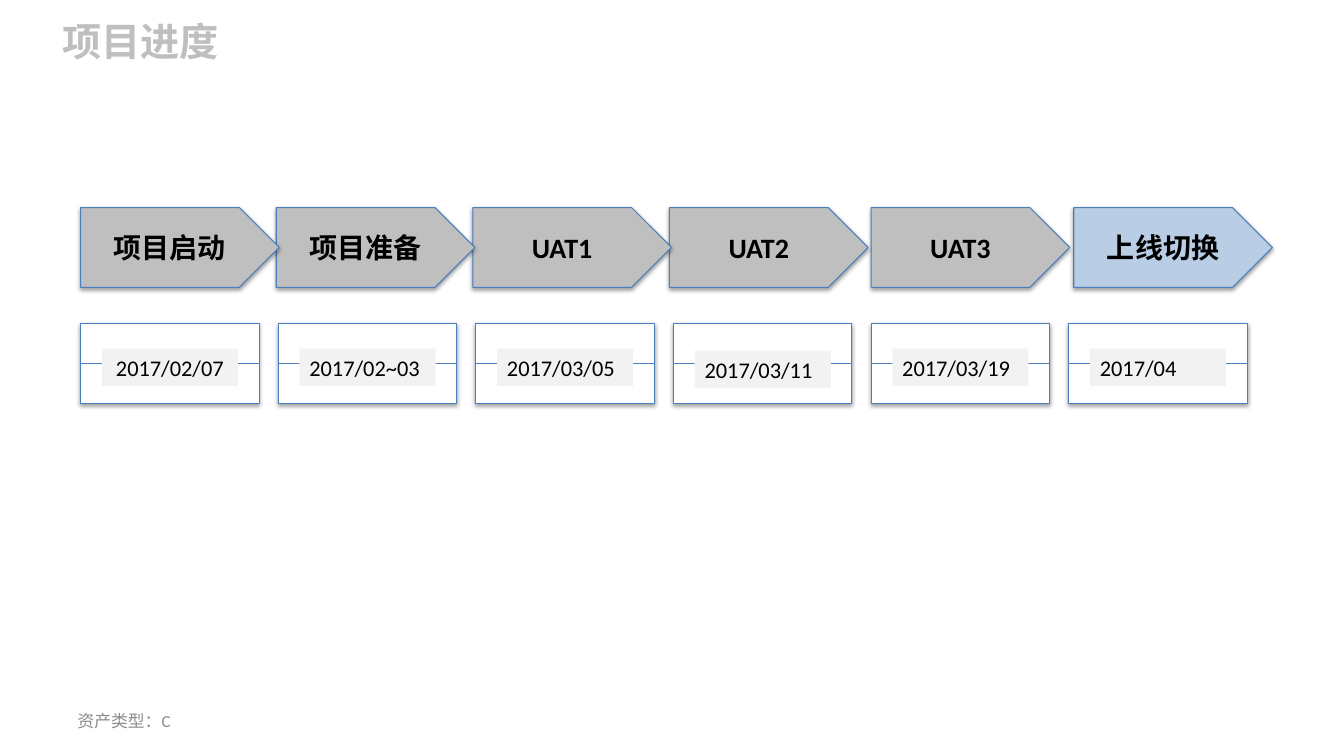
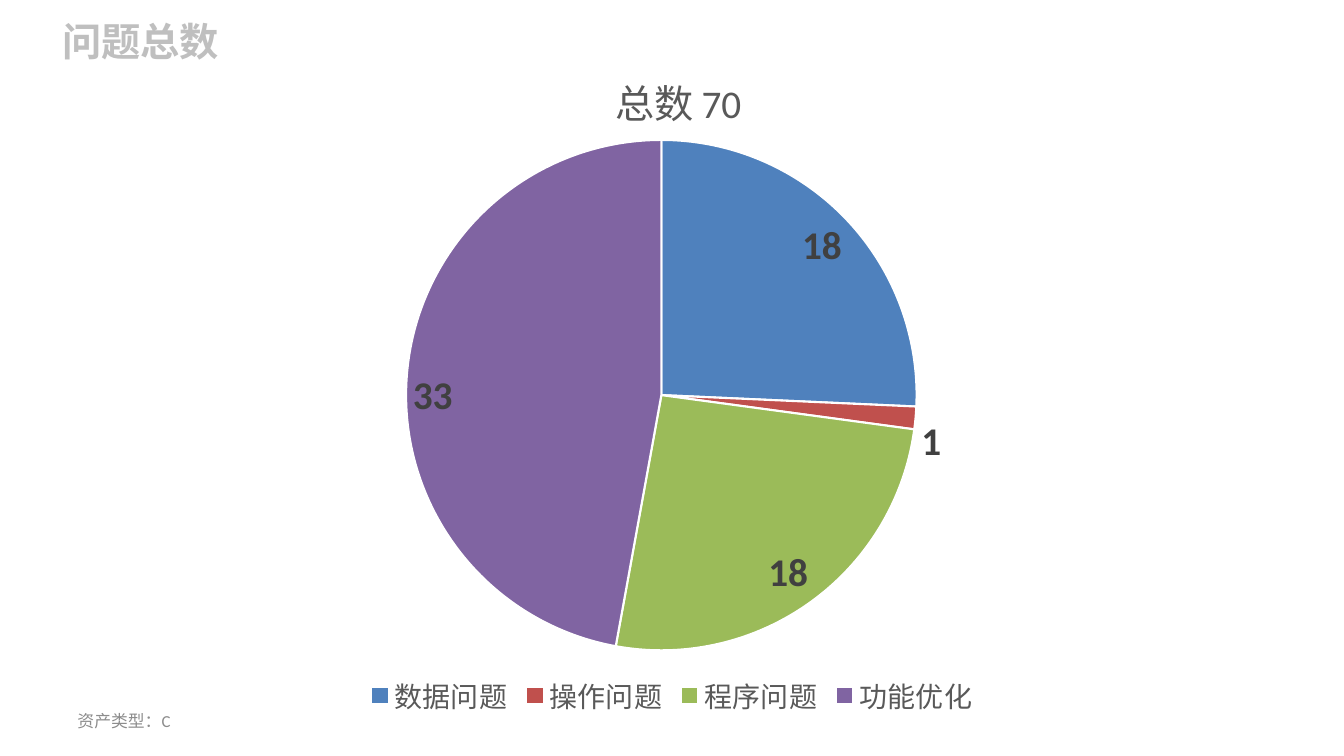
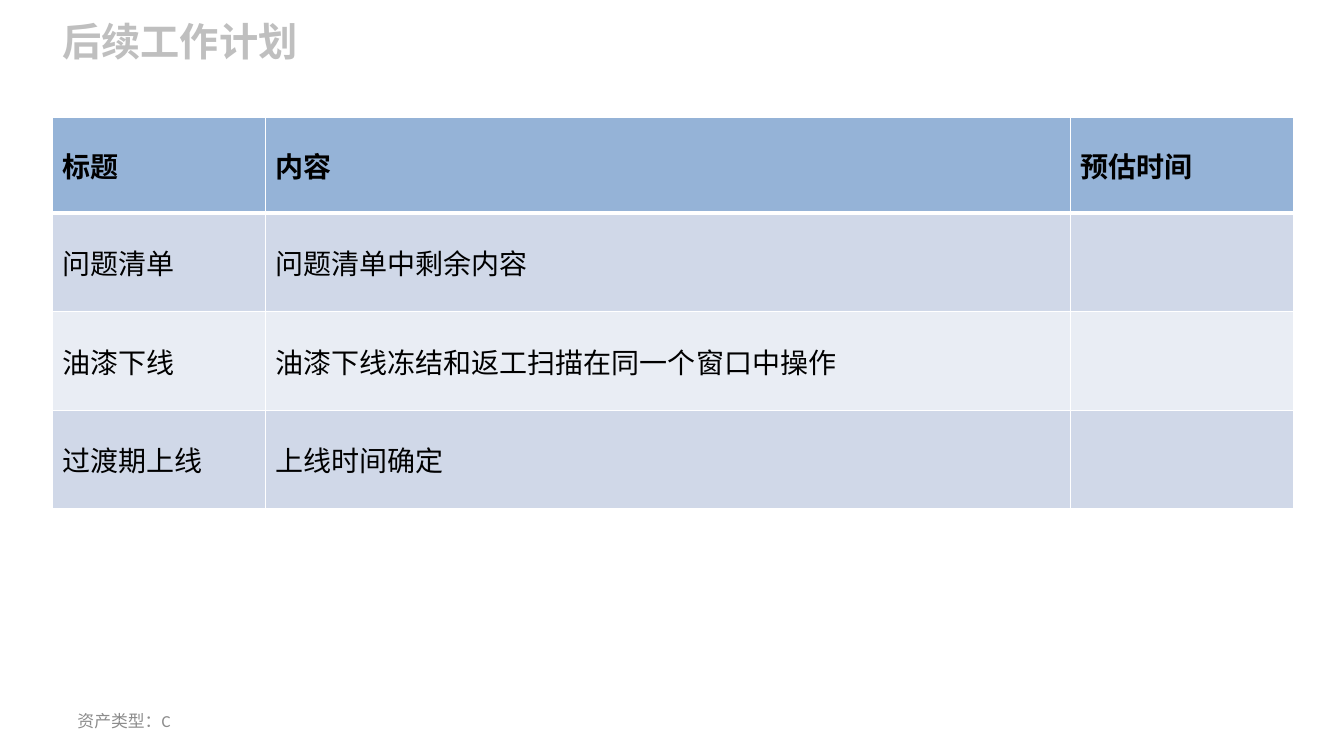
"""Build a three-slide project status deck: schedule, issue totals and next steps."""
import pptx
import pptx.chart.data
import pptx.dml.color
import pptx.enum.chart
import pptx.enum.shapes
import pptx.enum.text
import pptx.oxml
import pptx.oxml.ns
import pptx.util

Inches = pptx.util.Inches
Pt = pptx.util.Pt
RGBColor = pptx.dml.color.RGBColor
SHAPE = pptx.enum.shapes.MSO_SHAPE
ALIGN = pptx.enum.text.PP_ALIGN
ANCHOR = pptx.enum.text.MSO_ANCHOR
LABEL = pptx.enum.chart.XL_LABEL_POSITION

FONT = "Calibri"
TABLE_FONT = "Noto Sans CJK SC"
BLACK = RGBColor(0x00, 0x00, 0x00)
WHITE = RGBColor(0xFF, 0xFF, 0xFF)
SILVER = RGBColor(0xBF, 0xBF, 0xBF)
CHIP_GRAY = RGBColor(0xF2, 0xF2, 0xF2)
FOOTER_GRAY = RGBColor(0x8C, 0x8C, 0x8C)
CHART_GRAY = RGBColor(0x59, 0x59, 0x59)
LABEL_GRAY = RGBColor(0x40, 0x40, 0x40)
LINE_BLUE = RGBColor(0x4B, 0x7E, 0xBC)
NEXT_BLUE = RGBColor(0xB9, 0xCD, 0xE5)
HEADER_BLUE = RGBColor(0x95, 0xB3, 0xD7)
BANDS = [RGBColor(0xD0, 0xD8, 0xE8), RGBColor(0xE9, 0xED, 0xF4)]
SLICES = [RGBColor(0x4F, 0x81, 0xBD), RGBColor(0xC0, 0x50, 0x4D),
          RGBColor(0x9B, 0xBB, 0x59), RGBColor(0x80, 0x64, 0xA2)]

STAGES = [
    ("项目启动", 0.8, "2017/02/07"),
    ("项目准备", 2.74, "2017/02~03"),
    ("UAT1", 4.69, "2017/03/05"),
    ("UAT2", 6.64, "2017/03/11"),
    ("UAT3", 8.64, "2017/03/19"),
    ("上线切换", 10.65, "2017/04"),
]
ISSUES = {"数据问题": 18, "操作问题": 1, "程序问题": 18, "功能优化": 33}
PLAN = [
    ("标题", "内容", "预估时间"),
    ("问题清单", "问题清单中剩余内容", ""),
    ("油漆下线", "油漆下线冻结和返工扫描在同一个窗口中操作", ""),
    ("过渡期上线", "上线时间确定", ""),
]


def xml(markup):
    """Parse drawing markup, declaring the a: namespace."""
    ns = pptx.oxml.ns.nsdecls("a")
    return pptx.oxml.parse_xml(markup.replace(" ", f" {ns} ", 1))


def set_font(font, size, color, bold=False, name=FONT):
    """Apply one text style."""
    font.name, font.size, font.bold = name, Pt(size), bold
    font.color.rgb = color


def write(tf, text, size, color, bold=False, align=ALIGN.LEFT, anchor=ANCHOR.TOP):
    """Put one styled paragraph in a text frame."""
    tf.text = text
    tf.word_wrap = True
    tf.auto_size = pptx.enum.text.MSO_AUTO_SIZE.NONE
    tf.vertical_anchor = anchor
    p = tf.paragraphs[0]
    p.alignment = align
    set_font(p.font, size, color, bold)


def add_slide(prs, title):
    """Add a slide with the shared title and footer."""
    slide = prs.slides.add_slide(prs.slide_layouts[5])
    sp = slide.shapes.title
    sp.left, sp.top = Inches(0.52), Inches(0.12)
    sp.width, sp.height = Inches(9.98), Inches(0.57)
    write(sp.text_frame, title, 28, SILVER, bold=True)
    footer = slide.shapes.add_textbox(Inches(0.67), Inches(6.95), Inches(3.11), Inches(0.4))
    write(footer.text_frame, "资产类型：C", 12, FOOTER_GRAY, anchor=ANCHOR.MIDDLE)
    return slide


def add_box(shapes, kind, left, top, width, height, fill, outlined=True):
    """Add a filled shape; outlined ones also get a soft shadow."""
    sp = shapes.add_shape(kind, Inches(left), Inches(top), Inches(width), Inches(height))
    sp.shadow.inherit = False
    sp.fill.solid()
    sp.fill.fore_color.rgb = fill
    if not outlined:
        sp.line.fill.background()
        return sp
    sp.line.color.rgb = LINE_BLUE
    sp.line.width = Pt(0.75)
    effects = sp._element.spPr.find(pptx.oxml.ns.qn("a:effectLst"))
    effects.append(xml(
        '<a:outerShdw blurRad="40000" dist="20000" dir="5400000" rotWithShape="0">'
        '<a:srgbClr val="000000"><a:alpha val="38000"/></a:srgbClr></a:outerShdw>'))
    return sp


def add_stage(slide, name, left, fill):
    """Add one stage arrow."""
    sp = add_box(slide.shapes, SHAPE.PENTAGON, left, 2.06, 1.97, 0.79, fill)
    write(sp.text_frame, name, 20, BLACK, True, ALIGN.CENTER, ANCHOR.MIDDLE)


def add_date(slide, date, left, chip_top, align):
    """Add a date card: frame, middle line and date chip."""
    shapes = slide.shapes.add_group_shape().shapes
    card = add_box(shapes, SHAPE.RECTANGLE, left, 3.21, 1.77, 0.79, WHITE)
    line = shapes.add_connector(pptx.enum.shapes.MSO_CONNECTOR.STRAIGHT,
                                Inches(left), Inches(3.61), Inches(left + 1.77), Inches(3.61))
    line.begin_connect(card, 1)
    line.end_connect(card, 3)
    line.line.color.rgb = LINE_BLUE
    line.line.width = Pt(0.75)
    line._element.spPr.append(xml("<a:effectLst />"))
    chip = add_box(shapes, SHAPE.RECTANGLE, left + 0.21, chip_top, 1.35, 0.37, CHIP_GRAY, False)
    write(chip.text_frame, date, 16, BLACK, align=align)


def set_layout(parent, x, y, w=None, h=None):
    """Place a chart part by fractions of the chart area."""
    old = parent.find(pptx.oxml.ns.qn("c:layout"))
    if old is not None:
        parent.remove(old)
    size = f'<c:w val="{w}"/><c:h val="{h}"/>' if w else ""
    target = '<c:layoutTarget val="inner"/>' if w else ""
    layout = pptx.oxml.parse_xml(
        f'<c:layout {pptx.oxml.ns.nsdecls("c")}><c:manualLayout>{target}'
        f'<c:xMode val="edge"/><c:yMode val="edge"/><c:x val="{x}"/><c:y val="{y}"/>{size}'
        '</c:manualLayout></c:layout>')
    tx = parent.find(pptx.oxml.ns.qn("c:tx"))
    parent.insert(0 if tx is None else 1, layout)


def add_pie(slide, title, counts):
    """Add a pie chart with value labels and a legend below."""
    data = pptx.chart.data.CategoryChartData()
    data.categories = list(counts)
    data.add_series("Series 1", list(counts.values()))
    chart = slide.shapes.add_chart(pptx.enum.chart.XL_CHART_TYPE.PIE, Inches(1.39), Inches(0.34),
                                   Inches(10.55), Inches(6.82), data).chart
    set_font(chart.font, 10, BLACK)
    chart.has_title = True
    tf = chart.chart_title.text_frame
    tf.text = title
    set_font(tf.paragraphs[0].font, 28, CHART_GRAY)
    set_layout(chart.chart_title._element, 0.44, 0.04)
    set_layout(chart._chartSpace.chart.plotArea, 0.25, 0.15, 0.48, 0.75)
    chart.has_legend = True
    chart.legend.position = pptx.enum.chart.XL_LEGEND_POSITION.BOTTOM
    chart.legend.include_in_layout = False
    set_font(chart.legend.font, 20, CHART_GRAY)

    plot = chart.plots[0]
    plot.vary_by_categories = True
    series = plot.series[0]
    for i, color in enumerate(SLICES):
        fmt = series.points[i].format
        fmt.fill.solid()
        fmt.fill.fore_color.rgb = color
        fmt.line.color.rgb = WHITE
        fmt.line.width = Pt(1.5)
    labels = series.data_labels
    labels.show_value = True
    small = series.points[1].data_label
    for label, position in ((labels, LABEL.INSIDE_END), (small, LABEL.OUTSIDE_END)):
        set_font(label.font, 28, LABEL_GRAY, bold=True)
        label.position = position


def set_borders(cell, top, bottom):
    """Draw white cell borders, with the top and bottom widths in points."""
    tcPr = cell._tc.get_or_add_tcPr()
    for i, (side, width) in enumerate((("L", 1), ("R", 1), ("T", top), ("B", bottom))):
        tcPr.insert(i, xml(f'<a:ln{side} w="{Pt(width)}"><a:solidFill><a:srgbClr val="{WHITE}"/>'
                           f'</a:solidFill></a:ln{side}>'))


def add_plan(slide, rows):
    """Add the banded plan table."""
    widths, heights = [2.11, 7.99, 2.21], [0.95, 0.98, 0.98, 0.98]
    table = slide.shapes.add_table(len(rows), len(widths), Inches(0.52), Inches(1.16),
                                   Inches(sum(widths)), Inches(sum(heights))).table
    for column, width in zip(table.columns, widths):
        column.width = Inches(width)
    for i, values in enumerate(rows):
        table.rows[i].height = Inches(heights[i])
        for j, value in enumerate(values):
            cell = table.cell(i, j)
            cell.text = value
            cell.vertical_anchor = ANCHOR.MIDDLE
            set_font(cell.text_frame.paragraphs[0].font, 20, BLACK, i == 0, TABLE_FONT)
            cell.fill.solid()
            cell.fill.fore_color.rgb = BANDS[(i - 1) % 2] if i else HEADER_BLUE
            set_borders(cell, 3 if i == 1 else 1, 3 if i == 0 else 1)


def main():
    """Build and save the deck."""
    prs = pptx.Presentation()
    prs.slide_width, prs.slide_height = Inches(13.33), Inches(7.5)

    slide = add_slide(prs, "项目进度")
    for name, left, _ in reversed(STAGES):
        add_stage(slide, name, left, NEXT_BLUE if name == "上线切换" else SILVER)
    for i, (name, _, date) in enumerate(STAGES):
        add_date(slide, date, 0.8 + 1.96 * i, 3.48 if name == "UAT2" else 3.46,
                 ALIGN.LEFT if i else ALIGN.CENTER)

    add_pie(add_slide(prs, "问题总数"), "总数 70", ISSUES)
    add_plan(add_slide(prs, "后续工作计划"), PLAN)
    prs.save("out.pptx")


if __name__ == "__main__":
    main()
